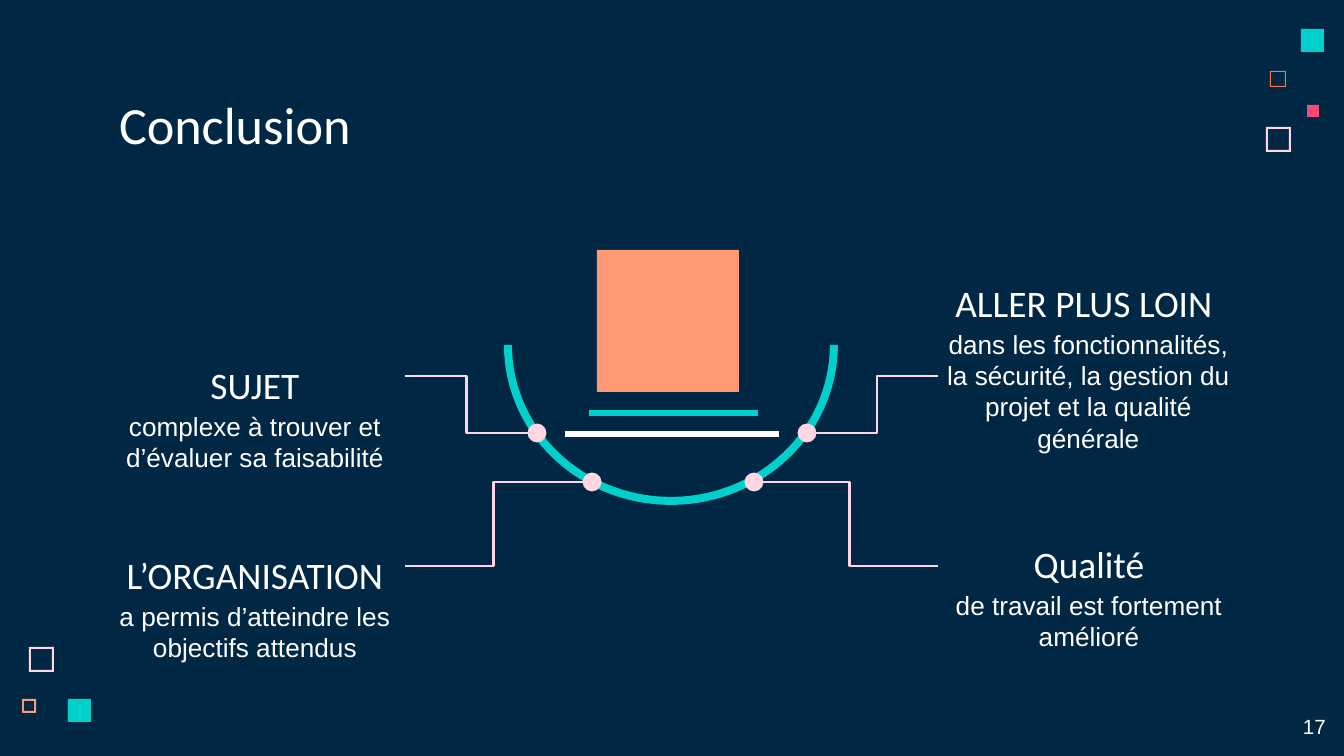
from dataclasses import dataclass
from math import cos, pi, sin

from lxml.etree import SubElement
from pptx import Presentation
from pptx.dml.color import RGBColor
from pptx.enum.shapes import MSO_CONNECTOR as LINK, MSO_SHAPE as SHAPE
from pptx.enum.text import MSO_ANCHOR as ANCHOR, MSO_AUTO_SIZE as FIT, PP_ALIGN as ALIGN
from pptx.oxml.ns import qn
from pptx.util import Pt

EMU_PER_PX = 914400 / 134.4
INSET = 13


@dataclass(frozen=True)
class Theme:
    navy: str = "002845"
    white: str = "FFFFFF"
    teal: str = "00CFCC"
    pink: str = "FFD6E1"
    orange: str = "FC723F"
    peach: str = "FF9973"
    red: str = "F64975"
    head_font: str = "Calibri"
    body_font: str = "Arial"
    title_size: int = 28
    head_size: int = 20
    body_size: int = 14
    number_size: int = 11


T = Theme()

TITLE = "Conclusion"
PAGE_NUMBER = "17"

# heading, text, left, top, text width
TOPICS = [
    ("L’ORGANISATION", "a permis d’atteindre les objectifs attendus", 105, 543, 300),
    ("Qualité", "de travail est fortement amélioré", 939, 532, 300),
    ("ALLER PLUS LOIN",
     "dans les fonctionnalités, la sécurité, la gestion du projet et la qualité générale",
     934, 271, 309),
    ("SUJET", "complexe à trouver et d’évaluer sa faisabilité", 105, 353, 300),
]
HEAD_W, HEAD_H, BODY_H, BODY_DROP = 300, 67, 71, 44

# left, top, side, colour, border (0 = solid)
SQUARES = [
    (1266, 127, 25, T.pink, 2),
    (1270, 71, 16, T.orange, 1),
    (1301, 29, 23, T.teal, 0),
    (22, 699, 14, T.peach, 2),
    (1307, 105, 12, T.red, 0),
    (29, 647, 25, T.pink, 2),
    (68, 699, 23, T.teal, 0),
    (597, 250, 142, T.peach, 0),
]

BOWL_CENTRE = (671, 345)
BOWL_OUTER, BOWL_INNER = (167, 160), (159, 152)

DOT = 19
DOT_CENTRES = [(754, 482), (592, 482), (807, 433), (537, 433)]

# start, end
LINKS = [
    ((405, 376), (528, 433)),
    ((583, 482), (405, 566)),
    ((816, 433), (938, 376)),
    ((762, 482), (938, 566)),
]
BARS = [((589, 413), (758, 413), T.teal), ((565, 434), (779, 434), T.white)]


def px(*values):
    return [round(v * EMU_PER_PX) for v in values]


def paint(sp, color):
    sp.shadow.inherit = False
    sp.fill.solid()
    sp.fill.fore_color.rgb = RGBColor.from_string(color)
    sp.line.fill.background()


def write(sp, text, *, size, font, align=ALIGN.LEFT, anchor=ANCHOR.TOP,
          inset=(INSET, INSET), wrap=True):
    tf = sp.text_frame
    tf.auto_size = FIT.NONE
    tf.word_wrap = wrap
    tf.vertical_anchor = anchor
    tf.margin_left, tf.margin_top = tf.margin_right, tf.margin_bottom = px(*inset)
    p = tf.paragraphs[0]
    p.alignment = align
    r = p.add_run()
    r.text = text
    r.font.size = Pt(size)
    r.font.name = font
    r.font.color.rgb = RGBColor.from_string(T.white)


def add_square(shapes, left, top, side, color, border):
    kind = SHAPE.FRAME if border else SHAPE.RECTANGLE
    sp = shapes.add_shape(kind, *px(left, top, side, side))
    if border:
        sp.adjustments[0] = border / side
    paint(sp, color)


def add_bowl(shapes, steps=60):
    """Lower half of an elliptical ring."""
    def arc(radii):
        return [(BOWL_CENTRE[0] + radii[0] * cos(pi * i / steps),
                 BOWL_CENTRE[1] + radii[1] * sin(pi * i / steps))
                for i in range(steps + 1)]

    points = [px(*pt) for pt in arc(BOWL_OUTER) + arc(BOWL_INNER)[::-1]]
    builder = shapes.build_freeform(*points[0])
    builder.add_line_segments(points[1:], close=True)
    paint(builder.convert_to_shape(), T.teal)


def add_line(shapes, start, end, color, width, kind=LINK.STRAIGHT):
    s = shapes.add_connector(kind, *px(*start, *end))
    s.line.color.rgb = RGBColor.from_string(color)
    s.line.width = Pt(width)
    SubElement(s._element.spPr, qn("a:effectLst"))


def main():
    prs = Presentation()
    prs.slide_width, prs.slide_height = px(1344, 756)
    slide = prs.slides.add_slide(prs.slide_layouts[5])
    slide.background.fill.solid()
    slide.background.fill.fore_color.rgb = RGBColor.from_string(T.navy)
    shapes = slide.shapes

    title = shapes.title
    title.left, title.top, title.width, title.height = px(106, 79, 1133, 85)
    write(title, TITLE, size=T.title_size, font=T.head_font)

    for square in SQUARES:
        add_square(shapes, *square)
    add_bowl(shapes)
    for x, y in DOT_CENTRES:
        dot = shapes.add_shape(SHAPE.OVAL, *px(x - DOT / 2, y - DOT / 2, DOT, DOT))
        paint(dot, T.pink)

    for heading, text, left, top, width in TOPICS:
        head = shapes.add_textbox(*px(left, top, HEAD_W, HEAD_H))
        write(head, heading, size=T.head_size, font=T.head_font,
              align=ALIGN.CENTER, anchor=ANCHOR.BOTTOM)
        body = shapes.add_textbox(*px(left, top + BODY_DROP, width, BODY_H))
        write(body, text, size=T.body_size, font=T.body_font, align=ALIGN.CENTER)

    for start, end in LINKS:
        add_line(shapes, start, end, T.pink, 1.5, LINK.ELBOW)
    for start, end, color in BARS:
        add_line(shapes, start, end, color, 3)

    number = shapes.add_textbox(*px(1290, 707, 54, 39))
    write(number, PAGE_NUMBER, size=T.number_size, font=T.body_font,
          inset=(INSET, 7), wrap=False)

    prs.save("out.pptx")


if __name__ == "__main__":
    main()
